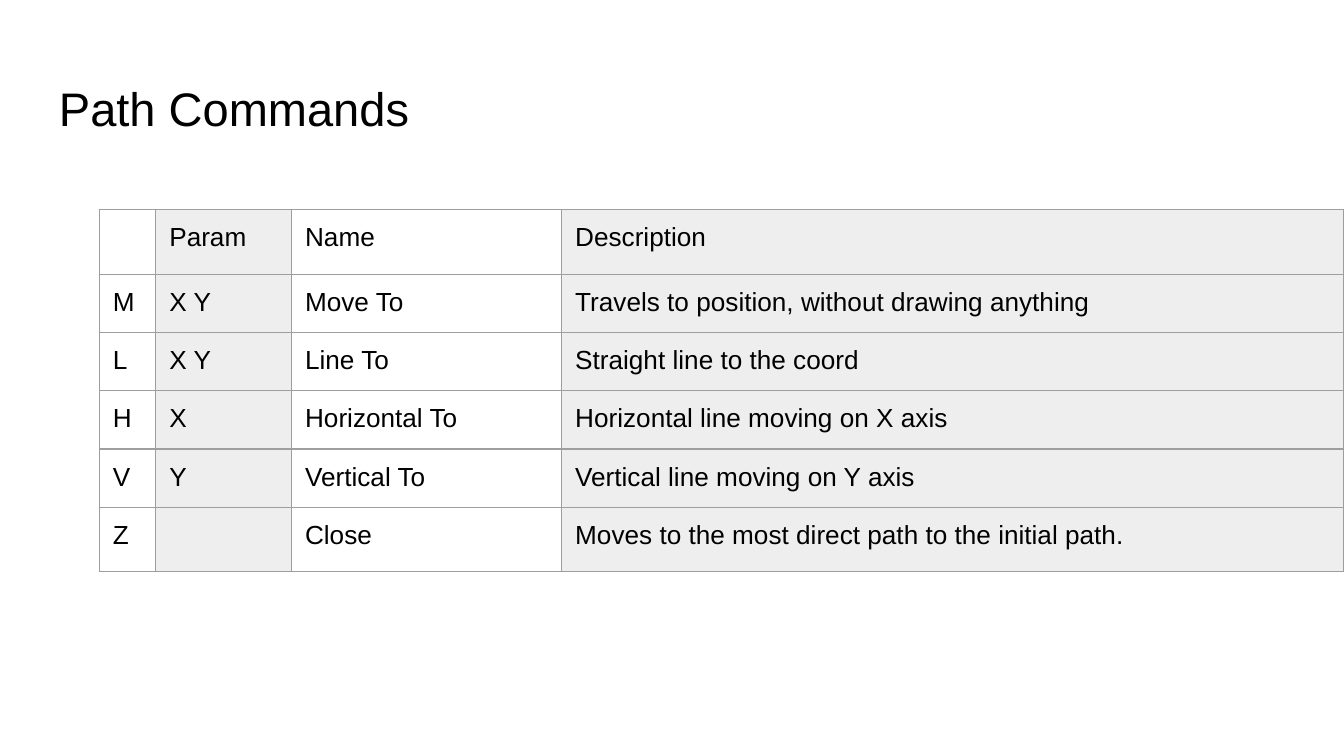
from lxml.etree import SubElement
from pptx import Presentation
from pptx.dml.color import RGBColor
from pptx.enum.text import MSO_ANCHOR as Anchor
from pptx.oxml.ns import qn
from pptx.util import Inches, Pt

BLACK = RGBColor(0, 0, 0)
WHITE = RGBColor(0xFF, 0xFF, 0xFF)
SHADE = RGBColor(0xEE, 0xEE, 0xEE)
RULE = RGBColor(0x9E, 0x9E, 0x9E)

WIDTH = 10
HEIGHT = WIDTH * 9 / 16
PAD = Inches(0.1)
COLS = [0.42, 1.01, 2.01, 5.82]
ROWS = [0.48] + [0.43] * 4 + [0.48]
DATA = [
    ("", "Param", "Name", "Description"),
    ("M", "X Y", "Move To", "Travels to position, without drawing anything"),
    ("L", "X Y", "Line To", "Straight line to the coord"),
    ("H", "X", "Horizontal To", "Horizontal line moving on X axis"),
    ("V", "Y", "Vertical To", "Vertical line moving on Y axis"),
    ("Z", "", "Close", "Moves to the most direct path to the initial path."),
]


def write(frame, text, size=14, color=BLACK, face="Arial"):
    run = frame.paragraphs[0].add_run()
    run.text = text
    run.font.size = Pt(size)
    run.font.name = face
    run.font.color.rgb = color


def pad(item, gap=PAD):
    item.margin_left = item.margin_right = PAD
    item.margin_top = item.margin_bottom = gap


def edge(cell):
    """Rule all four sides of a cell; call before the fill is set."""
    props = cell._tc.get_or_add_tcPr()
    for side in ("lnL", "lnR", "lnT", "lnB"):
        line = SubElement(props, qn(f"a:{side}"), w=str(Pt(0.75)))
        fill = SubElement(line, qn("a:solidFill"))
        SubElement(fill, qn("a:srgbClr"), val=str(RULE))


def add_title(slide, text):
    box = slide.shapes.add_textbox(
        Inches(0.34), Inches(0.49), Inches(WIDTH - 2 * 0.34), Inches(0.63))
    frame = box.text_frame
    frame.word_wrap = True
    frame.vertical_anchor = Anchor.MIDDLE
    pad(frame)
    write(frame, text, size=25.2)


def add_grid(slide, data):
    table = slide.shapes.add_table(
        len(ROWS), len(COLS), Inches(WIDTH - sum(COLS)), Inches(1.56),
        Inches(sum(COLS)), Inches(sum(ROWS))).table
    table.first_row = table.horz_banding = False
    for col, width in zip(table.columns, COLS):
        col.width = Inches(width)
    for row, height, texts in zip(table.rows, ROWS, data):
        row.height = Inches(height)
        for i, (cell, text) in enumerate(zip(row.cells, texts)):
            edge(cell)
            cell.fill.solid()
            cell.fill.fore_color.rgb = SHADE if i % 2 else WHITE
            pad(cell, PAD if text else 0)
            if text:
                write(cell.text_frame, text)


def main():
    deck = Presentation()
    deck.slide_width, deck.slide_height = Inches(WIDTH), Inches(HEIGHT)
    slide = deck.slides.add_slide(deck.slide_layouts[6])
    add_title(slide, "Path Commands")
    add_grid(slide, DATA)
    deck.save("out.pptx")


if __name__ == "__main__":
    main()
